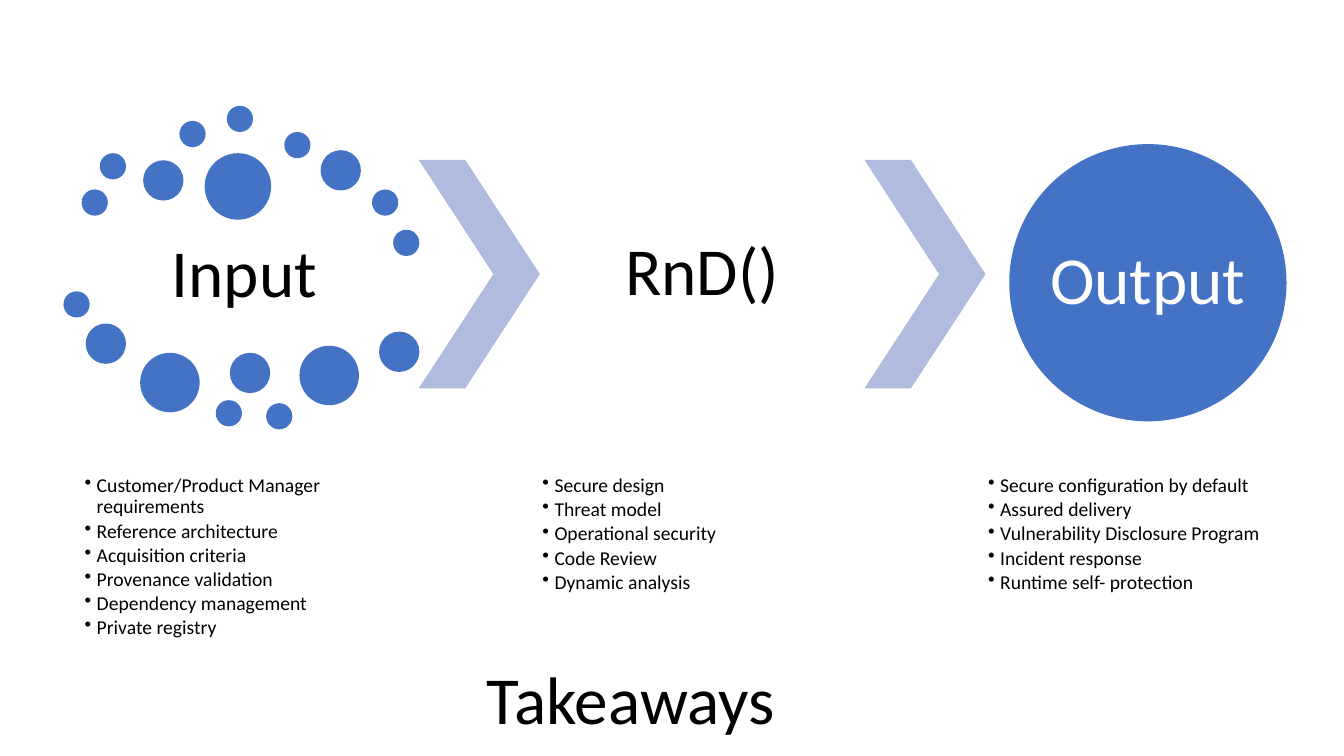
from dataclasses import dataclass

from lxml import etree
from pptx import Presentation
from pptx.dml.color import RGBColor
from pptx.enum.shapes import MSO_SHAPE
from pptx.enum.text import MSO_ANCHOR, PP_ALIGN
from pptx.oxml.ns import qn
from pptx.shapes.autoshape import Shape
from pptx.slide import Slide
from pptx.text.text import TextFrame
from pptx.util import Pt

PX = 9144  # EMU, 100 px to the inch

OVAL = MSO_SHAPE.OVAL
CHEVRON = MSO_SHAPE.CHEVRON
TOP, MIDDLE, BOTTOM = MSO_ANCHOR.TOP, MSO_ANCHOR.MIDDLE, MSO_ANCHOR.BOTTOM
LEFT, CENTER = PP_ALIGN.LEFT, PP_ALIGN.CENTER

BLUE = RGBColor(0x44, 0x72, 0xC4)
PALE_BLUE = RGBColor(0xB0, 0xBC, 0xDE)
BLACK = RGBColor(0, 0, 0)
WHITE = RGBColor(0xFF, 0xFF, 0xFF)

FONT = "Calibri"
HEADING_SIZE, BULLET_SIZE = 48, 14
LINE_SPACING = 0.9
BULLET_INDENT = 12
STAGE_WIDTH = 323
BULLETS_TOP, BULLETS_HEIGHT = 469, 175
CHEVRON_TOP, CHEVRON_WIDTH, CHEVRON_HEIGHT = 159, 119, 226
SMALL, MEDIUM, LARGE, LARGEST = 26, 40, 59, 66


@dataclass(frozen=True)
class Box:
    left: int
    top: int
    width: int
    height: int


@dataclass(frozen=True)
class Dot:
    left: int
    top: int
    diameter: int


@dataclass(frozen=True)
class Stage:
    left: int
    activities: tuple[str, ...]


INPUT_DOTS = (
    Dot(81, 188, SMALL), Dot(99, 152, SMALL), Dot(142, 159, MEDIUM),
    Dot(178, 120, SMALL), Dot(225, 105, SMALL), Dot(282, 131, SMALL),
    Dot(318, 149, MEDIUM), Dot(369, 188, SMALL), Dot(390, 228, SMALL),
    Dot(203, 152, LARGEST), Dot(63, 289, SMALL), Dot(85, 321, MEDIUM),
    Dot(139, 350, LARGE), Dot(214, 397, SMALL), Dot(228, 350, MEDIUM),
    Dot(264, 400, SMALL), Dot(297, 343, LARGE), Dot(376, 329, MEDIUM),
)

INPUT = Stage(81, (
    "Customer/Product Manager requirements",
    "Reference architecture",
    "Acquisition criteria",
    "Provenance validation",
    "Dependency management",
    "Private registry",
))
RND = Stage(535, (
    "Secure design",
    "Threat model",
    "Operational security",
    "Code Review",
    "Dynamic analysis",
))
OUTPUT = Stage(977, (
    "Secure configuration by default",
    "Assured delivery",
    "Vulnerability Disclosure Program",
    "Incident response",
    "Runtime self- protection",
))


def add_filled(slide: Slide, preset: MSO_SHAPE, box: Box, color: RGBColor) -> Shape:
    shape = slide.shapes.add_shape(
        preset, box.left * PX, box.top * PX, box.width * PX, box.height * PX)
    shape.shadow.inherit = False
    shape.fill.solid()
    shape.fill.fore_color.rgb = color
    shape.line.fill.background()
    return shape


def add_text_frame(slide: Slide, box: Box, anchor: MSO_ANCHOR) -> TextFrame:
    frame = slide.shapes.add_textbox(
        box.left * PX, box.top * PX, box.width * PX, box.height * PX).text_frame
    frame.word_wrap = True
    frame.vertical_anchor = anchor
    return frame


def set_insets(frame: TextFrame, inset: int) -> None:
    frame.margin_left = frame.margin_right = inset * PX
    frame.margin_top = frame.margin_bottom = inset * PX


def write_heading(frame: TextFrame, text: str, color: RGBColor,
                  alignment: PP_ALIGN) -> None:
    heading = frame.paragraphs[0]
    heading.text = text
    heading.alignment = alignment
    heading.line_spacing = LINE_SPACING
    heading.font.name = FONT
    heading.font.size = Pt(HEADING_SIZE)
    heading.font.color.rgb = color


def add_stage_heading(slide: Slide, text: str, box: Box) -> None:
    frame = add_text_frame(slide, box, MIDDLE)
    set_insets(frame, 7)
    write_heading(frame, text, BLACK, CENTER)


def add_activities(slide: Slide, stage: Stage) -> None:
    box = Box(stage.left, BULLETS_TOP, STAGE_WIDTH, BULLETS_HEIGHT)
    frame = add_text_frame(slide, box, TOP)
    set_insets(frame, 3)
    frame.text = "\n".join(stage.activities)
    for activity in frame.paragraphs:
        activity.line_spacing = LINE_SPACING
        activity.space_after = Pt(2.1)
        properties = activity._p.get_or_add_pPr()
        properties.set("marL", str(BULLET_INDENT * PX))
        properties.set("indent", str(-BULLET_INDENT * PX))
        etree.SubElement(properties, qn("a:buChar"), char="•")
        activity.font.name = FONT
        activity.font.size = Pt(BULLET_SIZE)
        activity.font.color.rgb = BLACK


def add_chevron(slide: Slide, left: int) -> None:
    box = Box(left, CHEVRON_TOP, CHEVRON_WIDTH, CHEVRON_HEIGHT)
    chevron = add_filled(slide, CHEVRON, box, PALE_BLUE)
    chevron.adjustments[0] = 0.62
    chevron.line.color.rgb = PALE_BLUE
    chevron.line.width = Pt(0.5)


def add_output_circle(slide: Slide) -> None:
    circle = add_filled(slide, OVAL, Box(1001, 143, 275, 275), BLUE)
    frame = circle.text_frame
    frame.word_wrap = False
    frame.vertical_anchor = MIDDLE
    set_insets(frame, 0)
    write_heading(frame, "Output", WHITE, CENTER)


def main() -> None:
    presentation = Presentation()
    presentation.slide_width = 1333 * PX
    presentation.slide_height = 750 * PX
    slide = presentation.slides.add_slide(presentation.slide_layouts[6])

    add_stage_heading(slide, "Input", Box(INPUT.left, 221, STAGE_WIDTH, 106))
    for dot in INPUT_DOTS:
        add_filled(slide, OVAL, Box(dot.left, dot.top, dot.diameter, dot.diameter), BLUE)
    add_stage_heading(
        slide, "RnD()", Box(RND.left, CHEVRON_TOP, STAGE_WIDTH, CHEVRON_HEIGHT))
    add_output_circle(slide)

    for next_stage in (RND, OUTPUT):
        add_chevron(slide, next_stage.left - CHEVRON_WIDTH)
    for stage in (INPUT, RND, OUTPUT):
        add_activities(slide, stage)

    title = add_text_frame(slide, Box(473, 614, 387, 124), BOTTOM)
    write_heading(title, "Takeaways", BLACK, LEFT)
    presentation.save("out.pptx")


if __name__ == "__main__":
    main()
